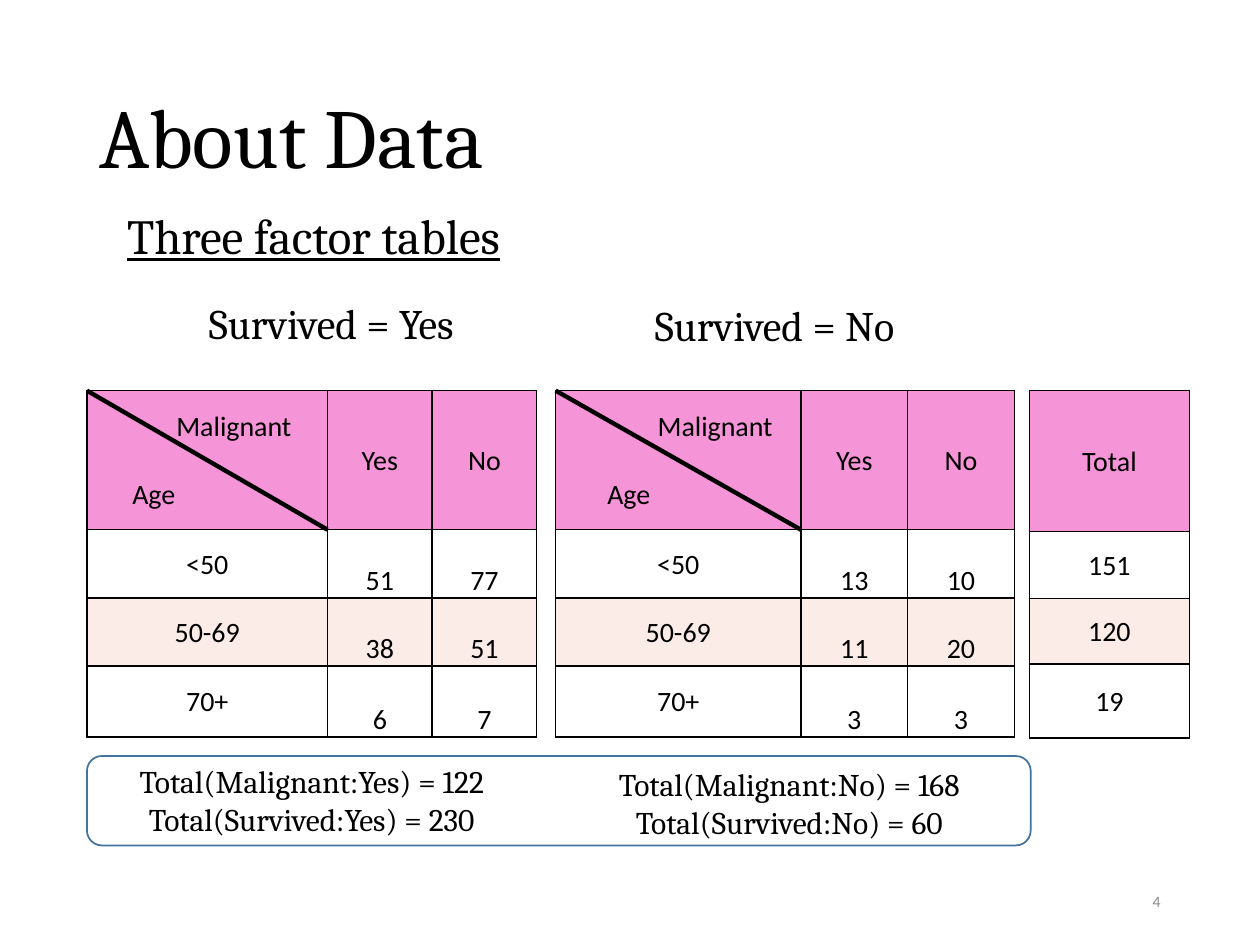
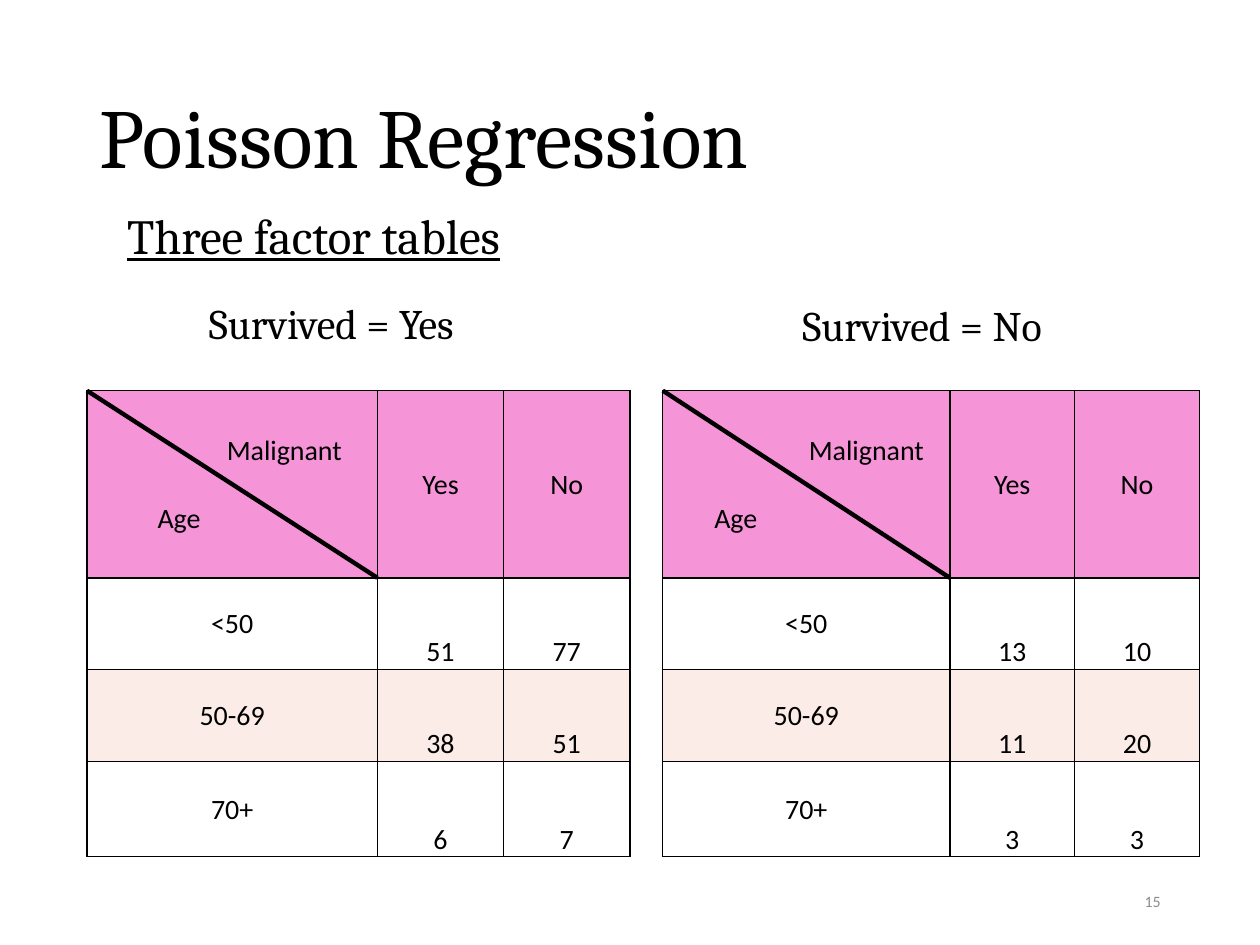
from dataclasses import dataclass

from lxml.etree import SubElement
from pptx import Presentation
from pptx.dml.color import RGBColor as Rgb
from pptx.enum.shapes import MSO_CONNECTOR as Connector, MSO_SHAPE as Shape
from pptx.enum.text import MSO_ANCHOR as Anchor, PP_ALIGN as Align
from pptx.oxml.ns import qn
from pptx.util import Inches, Pt


@dataclass(frozen=True)
class Theme:
    serif: str = "Cambria"
    sans: str = "Calibri"
    black: str = "000000"
    white: str = "FFFFFF"
    grey: str = "8C8C8C"
    pink: str = "F594D7"
    blush: str = "FCECE8"
    blue: str = "43739E"
    title: float = 48
    subtitle: float = 28
    heading: float = 24
    note: float = 18
    cell: float = 16
    number: float = 9


theme = Theme()
LEFT, TABLE_TOP, NOTE_TOP, NOTE_HEIGHT = 0.69, 3.1, 6, 0.71
ROW_FILLS = (theme.pink, theme.white, theme.blush, theme.white)
COLUMN_WEIGHTS = (2.3, 1, 1)
ROW_WEIGHTS = (1.49, 0.73, 0.73, 0.76)
TOTAL_ROW_WEIGHTS = (1.12, 0.53, 0.52, 0.59)
AGES = ("<50", "50-69", "70+")
COUNTS = {
    "Yes": ((51, 77), (38, 51), (6, 7)),
    "No": ((13, 10), (11, 20), (3, 3)),
}
TOTALS = (("Total",), (151,), (120,), (19,))


def write(frame, lines, size, font=theme.serif, color=theme.black, align=Align.LEFT):
    """Fill a text frame with one paragraph per line, all in one style."""
    frame.word_wrap = True
    frame.text = "\n".join(str(line) for line in lines)
    for para in frame.paragraphs:
        para.alignment = align
        para.font.name = font
        para.font.size = Pt(size)
        para.font.color.rgb = Rgb.from_string(color)


def add_grid(page, left, width, height, column_weights, row_weights, rows):
    """Add a bordered table whose columns and rows share its size by weight."""
    table = page.shapes.add_table(
        len(rows), len(column_weights),
        Inches(left), Inches(TABLE_TOP), Inches(width), Inches(height),
    ).table
    table.first_row = table.horz_banding = False
    for column, weight in zip(table.columns, column_weights):
        column.width = Inches(width * weight / sum(column_weights))
    for row, weight in zip(table.rows, row_weights):
        row.height = Inches(height * weight / sum(row_weights))

    for r, values in enumerate(rows):
        for c, value in enumerate(values):
            cell = table.cell(r, c)
            write(cell.text_frame, [value], theme.cell, theme.sans, align=Align.CENTER)
            cell.margin_left = cell.margin_right = cell.margin_top = Inches(0.01)
            cell.margin_bottom = 0
            cell.vertical_anchor = Anchor.BOTTOM if r and c else Anchor.MIDDLE
            properties = cell._tc.get_or_add_tcPr()
            for side in ("a:lnL", "a:lnR", "a:lnT", "a:lnB"):
                border = SubElement(properties, qn(side), w=str(Pt(1)))
                paint = SubElement(border, qn("a:solidFill"))
                SubElement(paint, qn("a:srgbClr"), val=theme.black)
            cell.fill.solid()
            cell.fill.fore_color.rgb = Rgb.from_string(ROW_FILLS[r])
    return table


# Each factor table: survived, left, width, heading left, indents of Malignant and Age
slides = (
    ("About Data", 4, 2.75, (
        ("Yes", LEFT, 3.57, 1.56, (0.7, 0.35)),
        ("No", 4.41, 3.64, 5.1, (0.8, 0.4)),
    )),
    ("Poisson Regression", 15, 3.7, (
        ("Yes", LEFT, 4.31, 1.56, (1.1, 0.55)),
        ("No", 5.26, 4.26, 6.27, (1.15, 0.4)),
    )),
)
notes = (
    (LEFT, NOTE_TOP, ("Total(Malignant:Yes) = 122", "Total(Survived:Yes) = 230")),
    (4.48, NOTE_TOP + 0.02, ("Total(Malignant:No) = 168", "Total(Survived:No) = 60")),
)

deck = Presentation()
deck.slide_width, deck.slide_height = Inches(10), Inches(7.5)
title_only = deck.slide_layouts[5]

for title_text, number, table_height, factor_tables in slides:
    page = deck.slides.add_slide(title_only)

    title = page.shapes.title
    title.left, title.top = Inches(LEFT), Inches(0.4)
    title.width, title.height = Inches(8.62), Inches(1.45)
    write(title.text_frame, [title_text], theme.title)
    title.text_frame.vertical_anchor = Anchor.MIDDLE
    title.text_frame.paragraphs[0].line_spacing = 0.9

    page_number = page.shapes.add_textbox(
        Inches(7.06), Inches(6.95), Inches(2.25), Inches(0.4))
    write(page_number.text_frame, [number], theme.number, theme.sans, theme.grey, Align.RIGHT)
    page_number.text_frame.vertical_anchor = Anchor.MIDDLE

    subtitle = page.shapes.add_textbox(
        Inches(0.91), Inches(1.58), Inches(3.35), Inches(0.57))
    write(subtitle.text_frame, ["Three factor tables"], theme.subtitle)
    subtitle.text_frame.paragraphs[0].font.underline = True

    for survived, left, width, heading_left, indents in factor_tables:
        heading_top = 2.31 if survived == "Yes" else 2.33
        heading = page.shapes.add_textbox(
            Inches(heading_left), Inches(heading_top), Inches(2.53), Inches(0.5))
        write(heading.text_frame, [f"Survived = {survived}"], theme.heading)

        rows = [("", "Yes", "No")]
        rows += [(age, *counts) for age, counts in zip(AGES, COUNTS[survived])]
        table = add_grid(page, left, width, table_height, COLUMN_WEIGHTS, ROW_WEIGHTS, rows)

        corner = table.cell(0, 0).text_frame
        write(corner, ["Malignant", "Age"], theme.cell, theme.sans)
        corner.paragraphs[1].space_before = Pt(19.5)
        for para, indent in zip(corner.paragraphs, indents):
            para._p.get_or_add_pPr().set("marL", str(Inches(indent)))

        diagonal = page.shapes.add_connector(
            Connector.STRAIGHT, Inches(left), Inches(TABLE_TOP),
            Inches(left) + table.columns[0].width,
            Inches(TABLE_TOP) + table.rows[0].height)
        diagonal.line.width = Pt(2.5)
        diagonal.line.color.rgb = Rgb.from_string(theme.black)
        SubElement(diagonal._element.spPr, qn("a:effectLst"))

# The first slide also shows the totals
page = deck.slides[0]
add_grid(page, 8.17, 1.27, 2.76, (1,), TOTAL_ROW_WEIGHTS, TOTALS)

panel = page.shapes.add_shape(
    Shape.ROUNDED_RECTANGLE,
    Inches(LEFT), Inches(NOTE_TOP), Inches(7.49), Inches(NOTE_HEIGHT))
panel.shadow.inherit = False
panel.fill.solid()
panel.fill.fore_color.rgb = Rgb.from_string(theme.white)
panel.line.color.rgb = Rgb.from_string(theme.blue)
panel.line.width = Pt(1)

for left, top, lines in notes:
    note = page.shapes.add_textbox(
        Inches(left), Inches(top), Inches(3.57), Inches(NOTE_HEIGHT))
    write(note.text_frame, lines, theme.note, align=Align.CENTER)

deck.save("out.pptx")
